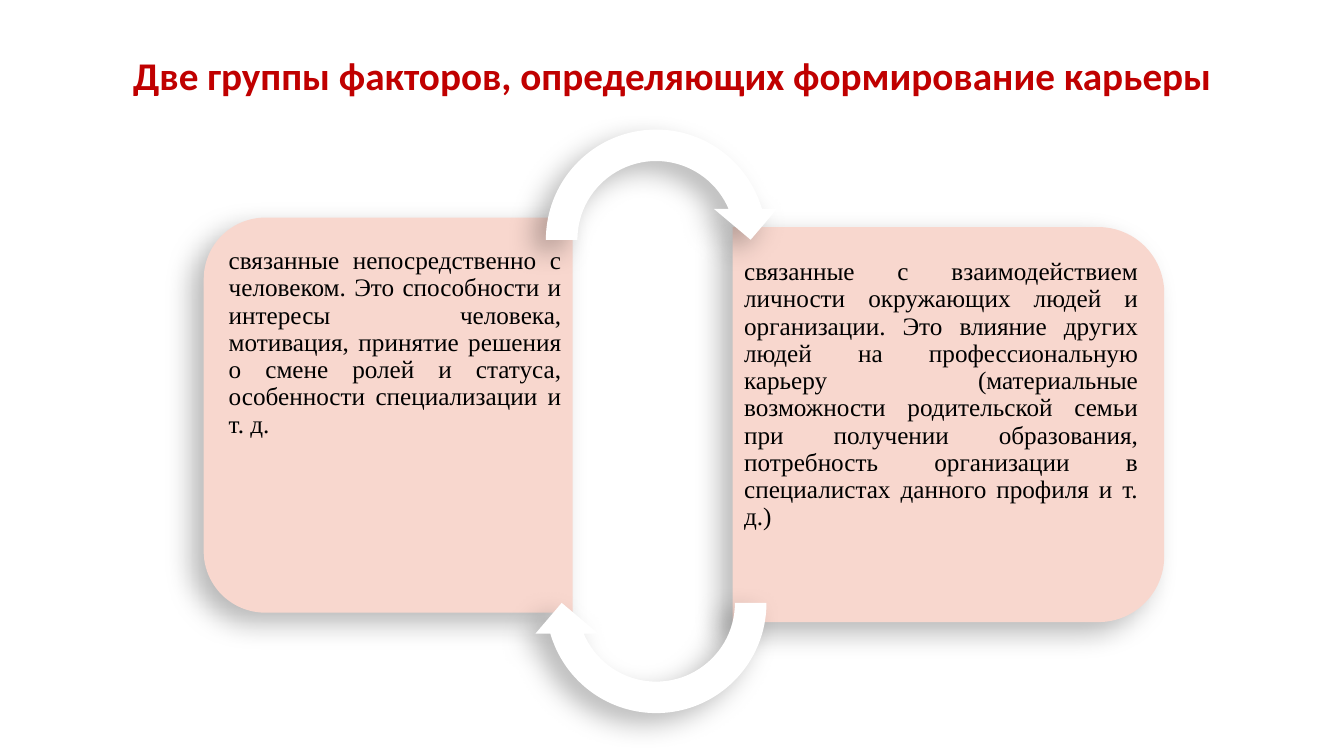
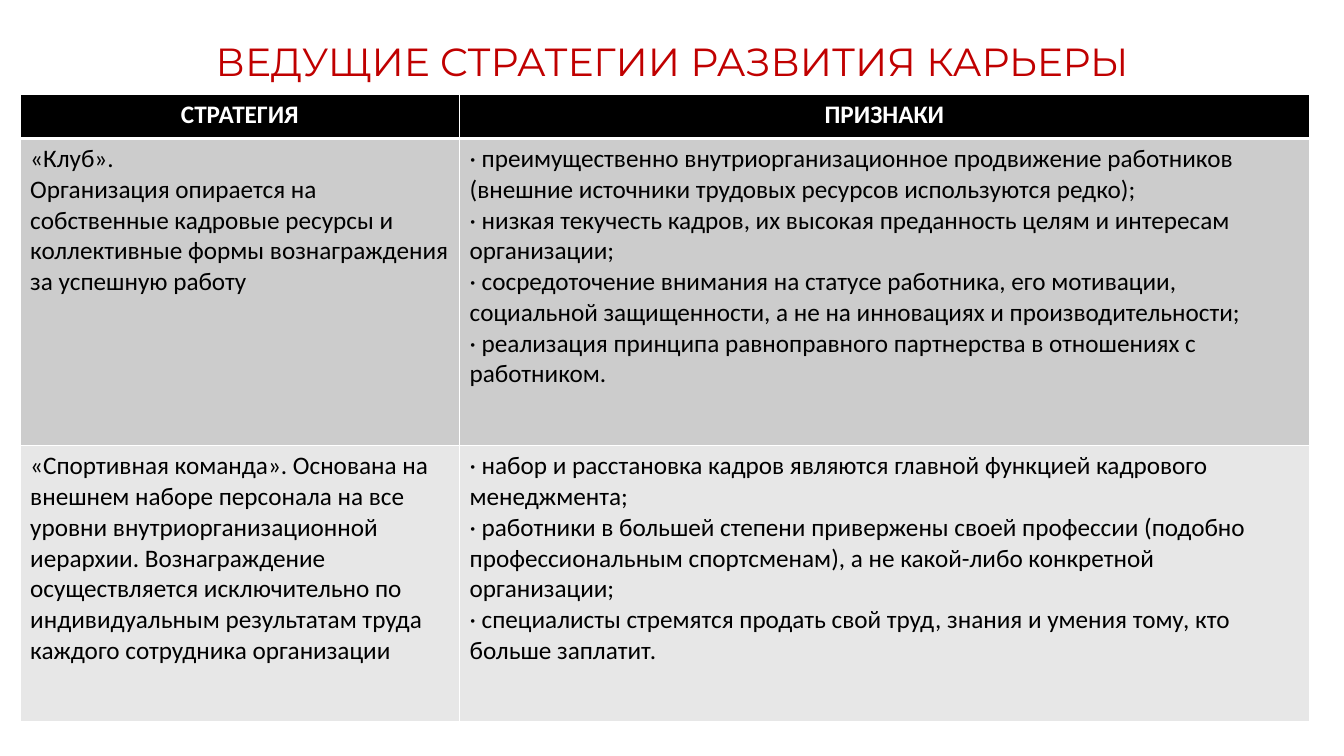
from dataclasses import dataclass

from lxml import etree
from pptx import Presentation
from pptx.dml.color import RGBColor
from pptx.enum.shapes import MSO_SHAPE
from pptx.enum.text import MSO_ANCHOR, MSO_AUTO_SIZE, PP_ALIGN
from pptx.oxml.ns import qn
from pptx.util import Pt

CARD = MSO_SHAPE.ROUND_2_SAME_RECTANGLE
ARC = MSO_SHAPE.CIRCULAR_ARROW
LEFT, CENTER, JUSTIFY = PP_ALIGN.LEFT, PP_ALIGN.CENTER, PP_ALIGN.JUSTIFY
MIDDLE, TOP = MSO_ANCHOR.MIDDLE, MSO_ANCHOR.TOP
NO_FIT = MSO_AUTO_SIZE.NONE
COLORS = {
    "title": "C00000",
    "card": "F8D7CE",
    "white": "FFFFFF",
    "black": "000000",
    "dark": "CCCCCC",
    "light": "E7E7E7",
}


@dataclass(frozen=True)
class Box:
    x: float
    y: float
    w: float
    h: float

    def lengths(self) -> tuple:
        return Pt(self.x), Pt(self.y), Pt(self.w), Pt(self.h)


@dataclass(frozen=True)
class Style:
    face: str
    size: float
    color: str
    bold: bool = False
    align: int = LEFT


@dataclass(frozen=True)
class Panel:
    card: Box
    turn: int
    area: Box
    left: float
    right: float
    text: str


@dataclass(frozen=True)
class Row:
    high: float
    fill: str
    style: Style
    cells: tuple


HEAD = Style("Calibri", 18, "white", True, CENTER)
BODY = Style("Calibri", 18, "black")
NOTE = Style("Times New Roman", 18, "black", align=JUSTIFY)

PANELS = (
    Panel(
        Box(136.2, 164.7, 282.2, 263.6), 270, Box(158.4, 168.5, 250.6, 256.3), 5, 8,
        "связанные непосредственно с человеком. Это способности и интересы человека, "
        "мотивация, принятие решения о смене ролей и статуса, особенности "
        "специализации и т. д.",
    ),
    Panel(
        Box(536.4, 149.2, 282.2, 308.2), 90, Box(523.6, 176.4, 294.4, 254.9), 8, 5,
        "связанные с взаимодействием личности окружающих людей и организации. Это "
        "влияние других людей на профессиональную карьеру (материальные возможности "
        "родительской семьи при получении образования, потребность организации в "
        "специалистах данного профиля и т. д.)",
    ),
)
ARCS = ((81.3, 0), (340.6, 180))
ARC_ADJ = (1 / 8, 11.42, 204.58, 108, 1 / 8)

WIDTHS = (313.9, 607)
ROWS = (
    Row(31.7, "black", HEAD, (("СТРАТЕГИЯ",), ("ПРИЗНАКИ",))),
    Row(219.6, "dark", BODY, (
        (
            "«Клуб».",
            "Организация опирается на собственные кадровые ресурсы и коллективные "
            "формы вознаграждения за успешную работу",
        ),
        (
            "· преимущественно внутриорганизационное продвижение работников (внешние "
            "источники трудовых ресурсов используются редко);",
            "· низкая текучесть кадров, их высокая преданность целям и интересам "
            "организации;",
            "· сосредоточение внимания на статусе работника, его мотивации, социальной "
            "защищенности, а не на инновациях и производительности;",
            "· реализация принципа равноправного партнерства в отношениях с работником.",
        ),
    )),
    Row(196.6, "light", BODY, (
        (
            "«Спортивная команда». Основана на внешнем наборе персонала на все уровни "
            "внутриорганизационной иерархии. Вознаграждение осуществляется "
            "исключительно по индивидуальным результатам труда каждого сотрудника "
            "организации",
        ),
        (
            "· набор и расстановка кадров являются главной функцией кадрового "
            "менеджмента;",
            "· работники в большей степени привержены своей профессии (подобно "
            "профессиональным спортсменам), а не какой-либо конкретной организации;",
            "· специалисты стремятся продать свой труд, знания и умения тому, кто "
            "больше заплатит.",
        ),
    )),
)


def tint(name: str) -> RGBColor:
    return RGBColor.from_string(COLORS[name])


def write(frame, lines: tuple, style: Style, lead: float = 1) -> None:
    frame.text = "\n".join(lines)
    for para in frame.paragraphs:
        para.alignment = style.align
        para.line_spacing = lead
        font = para.font
        font.name, font.size, font.bold = style.face, Pt(style.size), style.bold
        font.color.rgb = tint(style.color)


def place(shape, box: Box) -> None:
    shape.left, shape.top, shape.width, shape.height = box.lengths()


def start(deck, text: str, high: float, face: str, bold: bool):
    slide = deck.slides.add_slide(deck.slide_layouts[5])
    title = slide.shapes.title
    place(title, Box(66, 28.8, 828, high))
    frame = title.text_frame
    frame.auto_size = NO_FIT
    frame.vertical_anchor = MIDDLE
    write(frame, (text,), Style(face, 28, "title", bold, CENTER), 0.9)
    return slide


def shade(shape) -> None:
    shape.shadow.inherit = False
    effects = shape.element.spPr.find(qn("a:effectLst"))
    outer = etree.SubElement(
        effects, qn("a:outerShdw"), blurRad=str(Pt(19.7)), dist=str(Pt(11.8)),
        dir=str(141 * 60000), algn="ctr", rotWithShape="0",
    )
    color = etree.SubElement(outer, qn("a:srgbClr"), val=COLORS["black"])
    etree.SubElement(color, qn("a:alpha"), val="28000")


def draw(slide, kind: int, box: Box, turn: int, fill: str, adjust: tuple) -> None:
    shape = slide.shapes.add_shape(kind, *box.lengths())
    shape.rotation = turn
    for index, value in enumerate(adjust):
        shape.adjustments[index] = value
    shape.fill.solid()
    shape.fill.fore_color.rgb = tint(fill)
    shape.line.fill.background()
    shade(shape)


def panel(slide, item: Panel) -> None:
    draw(slide, CARD, item.card, item.turn, "card", (1 / 6, 0))
    frame = slide.shapes.add_textbox(*item.area.lengths()).text_frame
    frame.word_wrap = True
    frame.vertical_anchor = TOP
    frame.margin_left, frame.margin_right = Pt(item.left), Pt(item.right)
    frame.margin_top = frame.margin_bottom = Pt(8.6)
    write(frame, (item.text,), NOTE, 0.9)


def edge(cell, side: str, width: float) -> None:
    props = cell._tc.get_or_add_tcPr()
    line = etree.SubElement(props, qn(f"a:ln{side}"), w=str(Pt(width)))
    fill = etree.SubElement(line, qn("a:solidFill"))
    etree.SubElement(fill, qn("a:srgbClr"), val=COLORS["white"])


def grid(slide) -> None:
    box = Box(14.4, 67.2, sum(WIDTHS), sum(row.high for row in ROWS))
    table = slide.shapes.add_table(len(ROWS), len(WIDTHS), *box.lengths()).table
    table.horz_banding = False
    for column, width in zip(table.columns, WIDTHS):
        column.width = Pt(width)
    for index, row in enumerate(ROWS):
        table.rows[index].height = Pt(row.high)
        heavy = {0: "B", 1: "T"}.get(index)
        for cell, lines in zip(table.rows[index].cells, row.cells):
            for side in "LRTB":
                edge(cell, side, 3 if side == heavy else 1)
            cell.fill.solid()
            cell.fill.fore_color.rgb = tint(row.fill)
            write(cell.text_frame, lines, row.style)


def main() -> None:
    deck = Presentation()
    deck.slide_width, deck.slide_height = Pt(960), Pt(540)

    slide = start(
        deck, "Две группы факторов, определяющих формирование карьеры", 54, "Calibri", True
    )
    for item in PANELS:
        panel(slide, item)
    for top, turn in ARCS:
        draw(slide, ARC, Box(378.7, top, 180, 180), turn, "white", ARC_ADJ)

    slide = start(deck, "ВЕДУЩИЕ СТРАТЕГИИ РАЗВИТИЯ КАРЬЕРЫ", 34, "Montserrat", False)
    grid(slide)
    deck.save("out.pptx")


if __name__ == "__main__":
    main()
